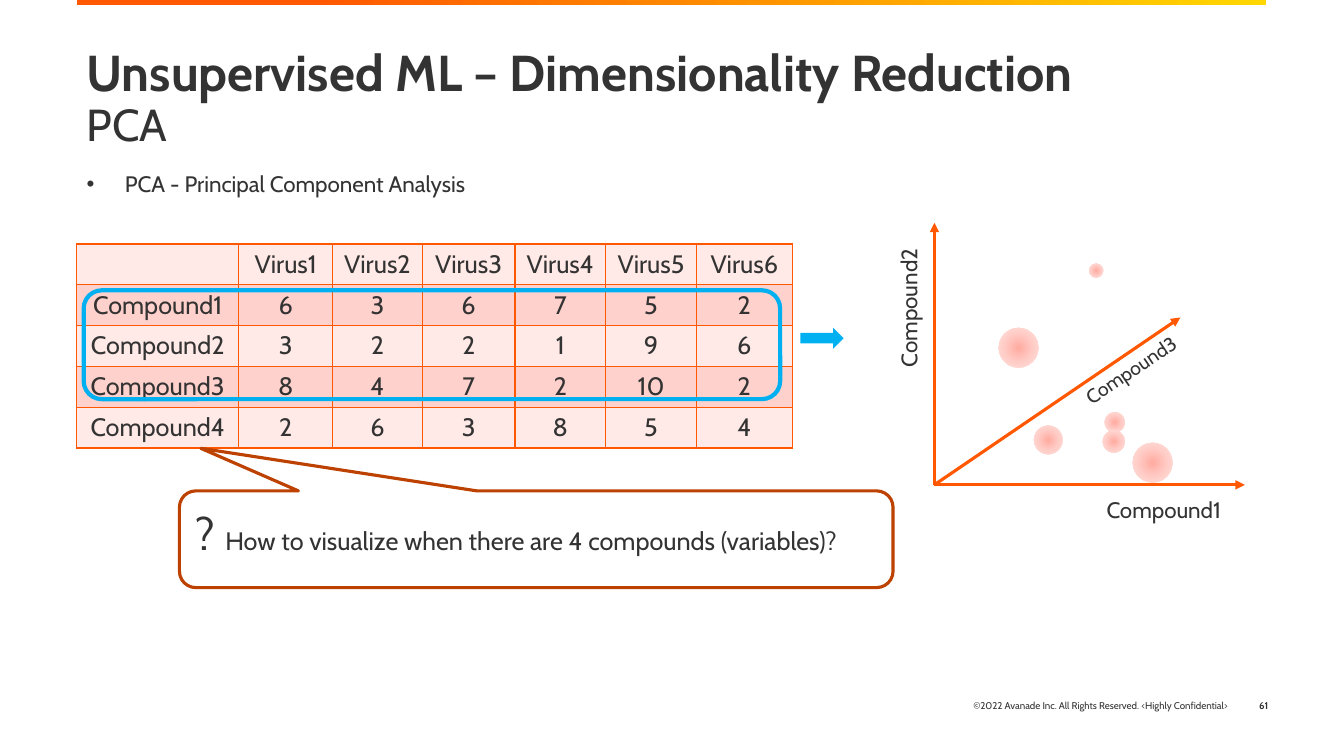
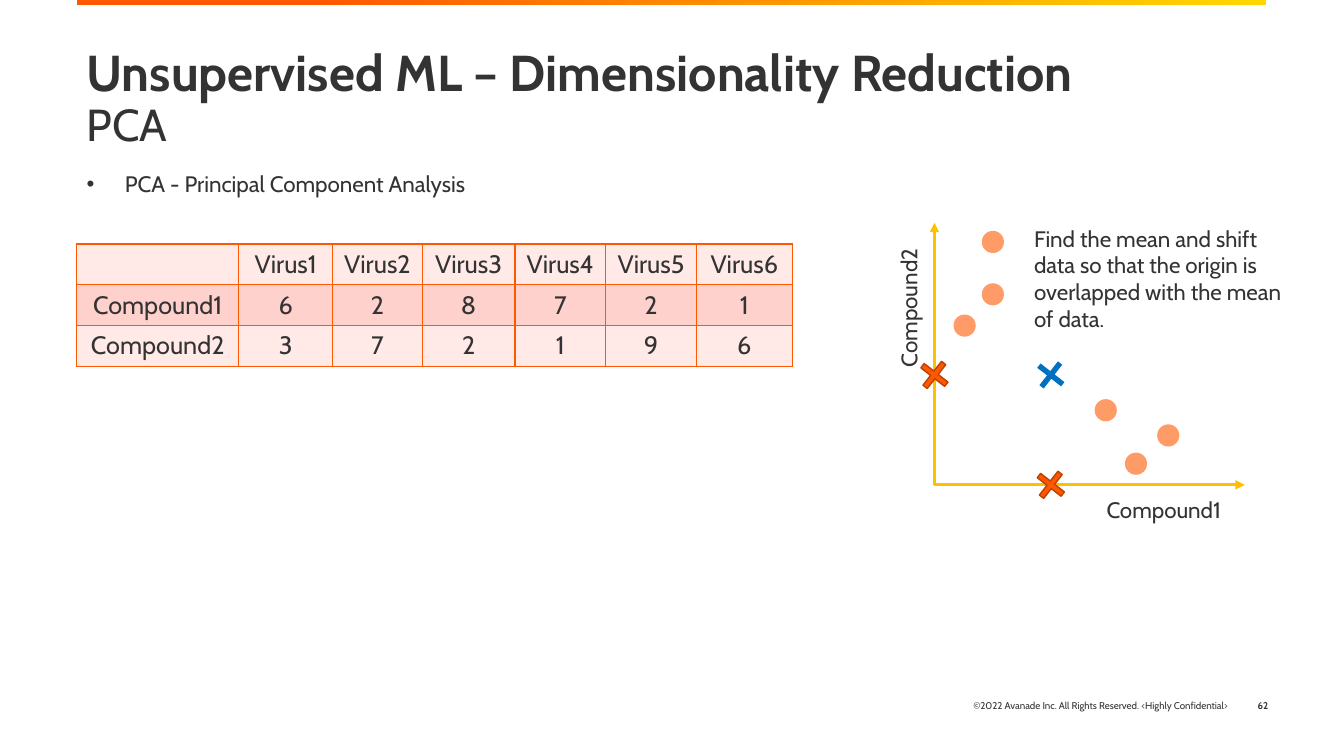
from lxml import etree
from pptx import Presentation
from pptx.dml.color import RGBColor
from pptx.enum.shapes import MSO_CONNECTOR, MSO_SHAPE
from pptx.enum.text import MSO_ANCHOR, PP_ALIGN
from pptx.oxml import parse_xml
from pptx.oxml.ns import nsdecls, qn
from pptx.util import Inches, Pt

LEFT, CENTER, RIGHT = PP_ALIGN.LEFT, PP_ALIGN.CENTER, PP_ALIGN.RIGHT
TOP, MIDDLE = MSO_ANCHOR.TOP, MSO_ANCHOR.MIDDLE
RECTANGLE, ELLIPSE = MSO_SHAPE.RECTANGLE, MSO_SHAPE.OVAL
ROUNDED, ARROW = MSO_SHAPE.ROUNDED_RECTANGLE, MSO_SHAPE.RIGHT_ARROW
CALLOUT, CROSS = MSO_SHAPE.ROUNDED_RECTANGULAR_CALLOUT, MSO_SHAPE.CROSS
STRAIGHT = MSO_CONNECTOR.STRAIGHT

FONT = "Cabin"
COLORS = {
    "text": "333333", "orange": "FF5800", "rust": "BD4100", "yellow": "FFD700",
    "amber": "FFC000", "peach": "FF9B66", "sky": "00B0F0", "blue": "0070C0",
    "row_light": "FFEAE7", "row_dark": "FFD1CC",
    "bubble_core": "FFABA0", "bubble_mid": "FFCBC5", "bubble_rim": "FFE6E3",
}

# The slide is a grid of 160 columns by 90 rows of equal square units
COLUMNS, ROWS = 160, 90
MARGIN, CONTENT_WIDTH = 9.12, 141.5
TABLE_TOP, TABLE_ROW = 29.04, 4.86
TABLE_COLUMNS = [19.32, 11.16, 10.68, 11.04, 10.8, 10.8, 11.4]
ORIGIN = (111.24, 57.72)
AXIS_TOP = (ORIGIN[0], 26.52)
AXIS_RIGHT = (148.2, ORIGIN[1])
AXIS_DEPTH = (140.52, 37.8)

BAR_FILL = ([(0, "yellow"), (80, "orange")],
            '<a:lin ang="10800000" scaled="0"/>')
BUBBLE_FILL = ([(0, "bubble_core"), (50, "bubble_mid"), (100, "bubble_rim")],
               '<a:path path="circle"><a:fillToRect l="50000" t="50000" '
               'r="50000" b="50000"/></a:path>')


def grid(*units):
    return [Inches(unit / 12) for unit in units]


def color(name):
    return RGBColor.from_string(COLORS[name])


# Text
def write(frame, text, size=16, bold=False, align=LEFT, spacing=None,
          bullet=False):
    """Write a string, or a list of (text, size, bold) runs, as one paragraph."""
    paragraph = frame.paragraphs[0]
    paragraph.alignment = align
    if spacing:
        paragraph.line_spacing = spacing
    if bullet:
        properties = paragraph._p.get_or_add_pPr()
        indent = Inches(0.38)
        properties.set("marL", str(indent))
        properties.set("indent", str(-indent))
        etree.SubElement(properties, qn("a:buFont")).set("typeface", "Arial")
        etree.SubElement(properties, qn("a:buChar")).set("char", "•")
    runs = [(text, size, bold)] if isinstance(text, str) else text
    for index, (words, run_size, run_bold) in enumerate(runs):
        if words.startswith("\n"):
            paragraph.add_line_break()
        run = paragraph.add_run()
        run.text = words.lstrip("\n")
        run.font.name = FONT
        run.font.size = Pt(run_size)
        run.font.bold = run_bold
        run.font.color.rgb = color("text")


def add_text(slide, box, text, rotation=0, anchor=TOP, **text_format):
    shape = slide.shapes.add_textbox(*grid(*box))
    shape.rotation = rotation
    frame = shape.text_frame
    frame.word_wrap = True
    frame.vertical_anchor = anchor
    write(frame, text, **text_format)


# Shapes and lines
def set_gradient(shape, stops, direction):
    stop_xml = "".join(
        f'<a:gs pos="{position * 1000}"><a:srgbClr val="{COLORS[name]}"/></a:gs>'
        for position, name in stops)
    shape.fill.solid()
    solid = shape._element.spPr.find(qn("a:solidFill"))
    solid.getparent().replace(solid, parse_xml(
        f'<a:gradFill {nsdecls("a")} rotWithShape="1">'
        f"<a:gsLst>{stop_xml}</a:gsLst>{direction}</a:gradFill>"))


def add_shape(slide, kind, box, fill=None, gradient=None, line=None, width=1,
              rotation=0, adjustments=()):
    shape = slide.shapes.add_shape(kind, *grid(*box))
    shape.shadow.inherit = False
    shape.rotation = rotation
    for index, value in enumerate(adjustments):
        shape.adjustments[index] = value
    if gradient:
        set_gradient(shape, *gradient)
    elif fill:
        shape.fill.solid()
        shape.fill.fore_color.rgb = color(fill)
    else:
        shape.fill.background()
    if line:
        shape.line.color.rgb = color(line)
        shape.line.width = Pt(width)
    else:
        shape.line.fill.background()


def add_marker(slide, kind, x, y, size, **shape_format):
    box = (x - size / 2, y - size / 2, size, size)
    add_shape(slide, kind, box, **shape_format)


def add_cross(slide, x, y, **shape_format):
    add_marker(slide, CROSS, x, y, 3.6, rotation=37.9, adjustments=[0.41],
               **shape_format)


def add_axis(slide, end, line):
    axis = slide.shapes.add_connector(STRAIGHT, *grid(*ORIGIN, *end))
    axis.line.color.rgb = color(line)
    axis.line.width = Pt(2.25)
    etree.SubElement(axis.line._get_or_add_ln(),
                     qn("a:tailEnd")).set("type", "triangle")
    etree.SubElement(axis._element.spPr, qn("a:effectLst"))


def add_axes(slide, ends, line):
    for end in ends:
        add_axis(slide, end, line)
    add_text(slide, (130.56, 58.44, 17.16, 4.44), "Compound1")
    add_text(slide, (99.6, 34.08, 17.16, 4.44), "Compound2", rotation=270)


# Table
def add_borders(cell):
    properties = cell._tc.get_or_add_tcPr()
    for side in ("lnL", "lnR", "lnT", "lnB"):
        properties.append(parse_xml(
            f'<a:{side} {nsdecls("a")} w="{Pt(1)}"><a:solidFill>'
            f'<a:srgbClr val="{COLORS["orange"]}"/></a:solidFill></a:{side}>'))


def add_compound_table(slide, compounds):
    header = [""] + [f"Virus{number}" for number in range(1, 7)]
    rows = [header] + [[f"Compound{number}", *values]
                       for number, values in enumerate(compounds, 1)]
    box = (MARGIN, TABLE_TOP, sum(TABLE_COLUMNS), TABLE_ROW * len(rows))
    table = slide.shapes.add_table(len(rows), len(header), *grid(*box)).table
    table.first_row = table.horz_banding = False
    for column, width in zip(table.columns, grid(*TABLE_COLUMNS)):
        column.width = width
    for row_index, values in enumerate(rows):
        for column_index, value in enumerate(values):
            cell = table.cell(row_index, column_index)
            add_borders(cell)
            cell.fill.solid()
            cell.fill.fore_color.rgb = color(
                "row_dark" if row_index % 2 else "row_light")
            if value != "":
                write(cell.text_frame, str(value), size=18, align=CENTER)


# Parts that every slide shares
def add_base_slide(presentation, number):
    slide = presentation.slides.add_slide(presentation.slide_layouts[6])
    add_shape(slide, RECTANGLE, (MARGIN, 0, 141.6, 0.6), gradient=BAR_FILL)
    add_text(slide, (93.36, 81.6, 54, 4.8),
             "©2022 Avanade Inc. All Rights Reserved. <Highly Confidential>",
             size=7, align=RIGHT, anchor=MIDDLE)
    add_text(slide, (146.4, 81.6, 5.76, 4.8), str(number), size=7, bold=True,
             align=RIGHT, anchor=MIDDLE)
    add_text(slide, (MARGIN, 5.16, CONTENT_WIDTH, 13.1),
             [("Unsupervised ML – Dimensionality Reduction", 36, True),
              ("\nPCA", 32, False)], spacing=0.9)
    add_text(slide, (MARGIN, 20.04, CONTENT_WIDTH, 5),
             "PCA - Principal Component Analysis", spacing=0.9, bullet=True)
    return slide


def build_three_compounds(presentation):
    slide = add_base_slide(presentation, 61)
    add_compound_table(slide, [
        [6, 3, 6, 7, 5, 2], [3, 2, 2, 1, 9, 6],
        [8, 4, 7, 2, 10, 2], [2, 6, 3, 8, 5, 4]])

    # Plot with three axes and bubbles sized by depth
    add_axes(slide, [AXIS_TOP, AXIS_DEPTH, AXIS_RIGHT], "orange")
    for x, y, size in [(132.72, 50.28, 2.4), (124.8, 52.38, 3.42),
                       (132.6, 52.56, 2.64), (137.22, 55.08, 4.74),
                       (130.5, 32.22, 1.68), (121.26, 41.4, 4.74)]:
        add_marker(slide, ELLIPSE, x, y, size, gradient=BUBBLE_FILL)
    add_text(slide, (127.2, 41.88, 15.36, 4.08), "Compound3", size=14,
             rotation=326)

    # Highlighted rows, arrow and question
    add_shape(slide, ROUNDED, (9.96, 34.56, 82.92, 12.96), line="sky", width=3)
    add_shape(slide, ARROW, (95.28, 39, 5.16, 2.52), fill="sky")
    add_text(slide, (22.08, 59.64, 83.76, 7.68),
             [("? ", 32, False),
              ("How to visualize when there are 4 compounds (variables)?",
               18, False)])
    add_shape(slide, CALLOUT, (21.36, 58.44, 84.96, 11.52), line="rust",
              width=2.25, adjustments=[-0.47, -0.94, 0.17])


def build_mean_shift(presentation):
    slide = add_base_slide(presentation, 62)
    add_compound_table(slide, [[6, 2, 8, 7, 2, 1], [3, 7, 2, 1, 9, 6]])

    # Plot with two axes
    add_axes(slide, [AXIS_TOP, AXIS_RIGHT], "amber")
    for x, y in [(118.2, 35.04), (139.08, 51.84), (131.64, 48.84),
                 (135.24, 55.2), (118.2, 28.8), (114.84, 38.76)]:
        add_marker(slide, ELLIPSE, x, y, 2.64, fill="peach")

    # Mean of the data and its place on each axis
    mean_x, mean_y = 125.1, 44.64
    add_cross(slide, mean_x, mean_y, fill="blue")
    for x, y in [(mean_x, ORIGIN[1]), (ORIGIN[0], mean_y)]:
        add_cross(slide, x, y, fill="orange", line="rust")
    add_text(slide, (121.92, 26.16, 33.72, 14.16),
             "Find the mean and shift data so that the origin is overlapped "
             "with the mean of data.")


def main():
    presentation = Presentation()
    presentation.slide_width, presentation.slide_height = grid(COLUMNS, ROWS)
    build_three_compounds(presentation)
    build_mean_shift(presentation)
    presentation.save("out.pptx")


if __name__ == "__main__":
    main()
